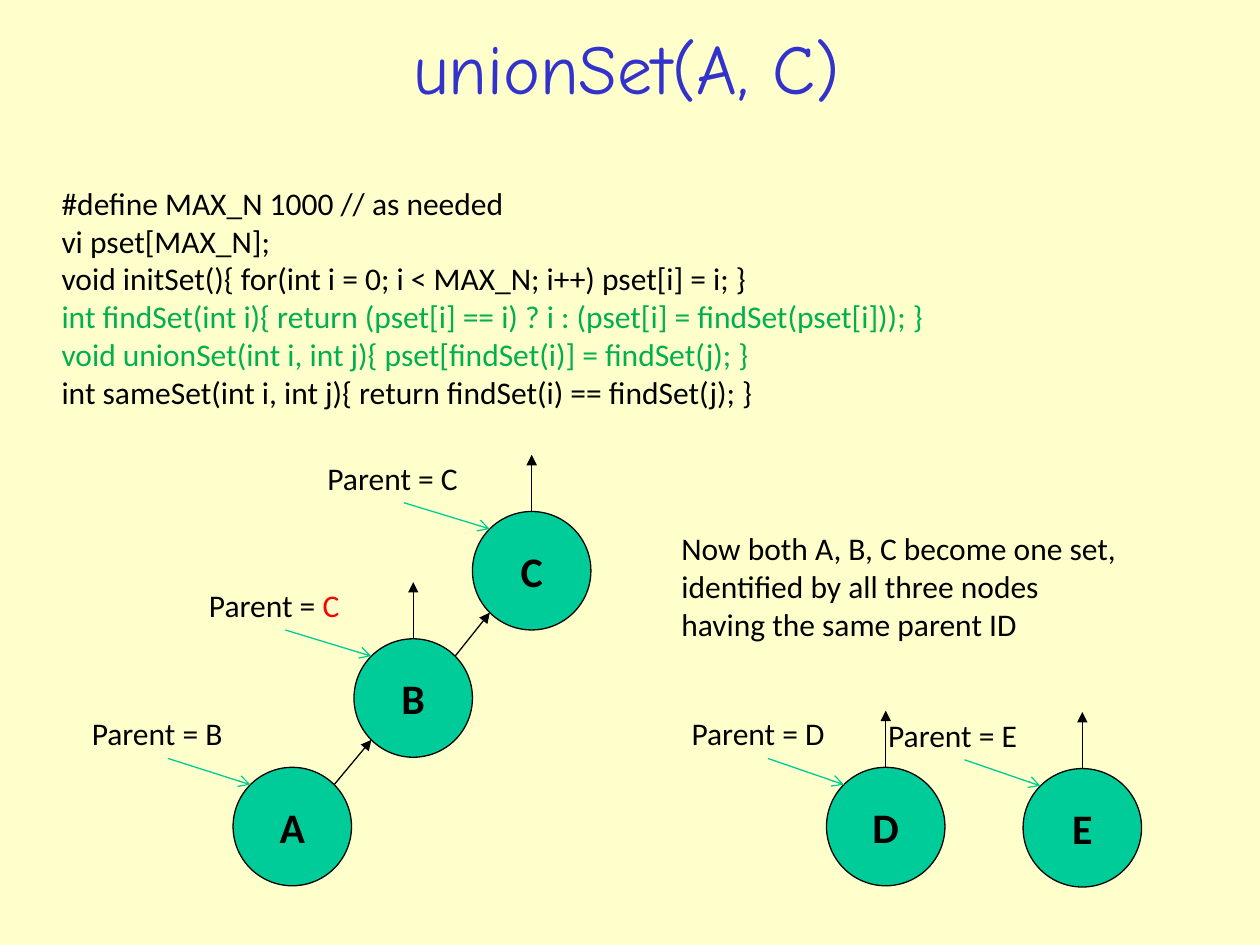
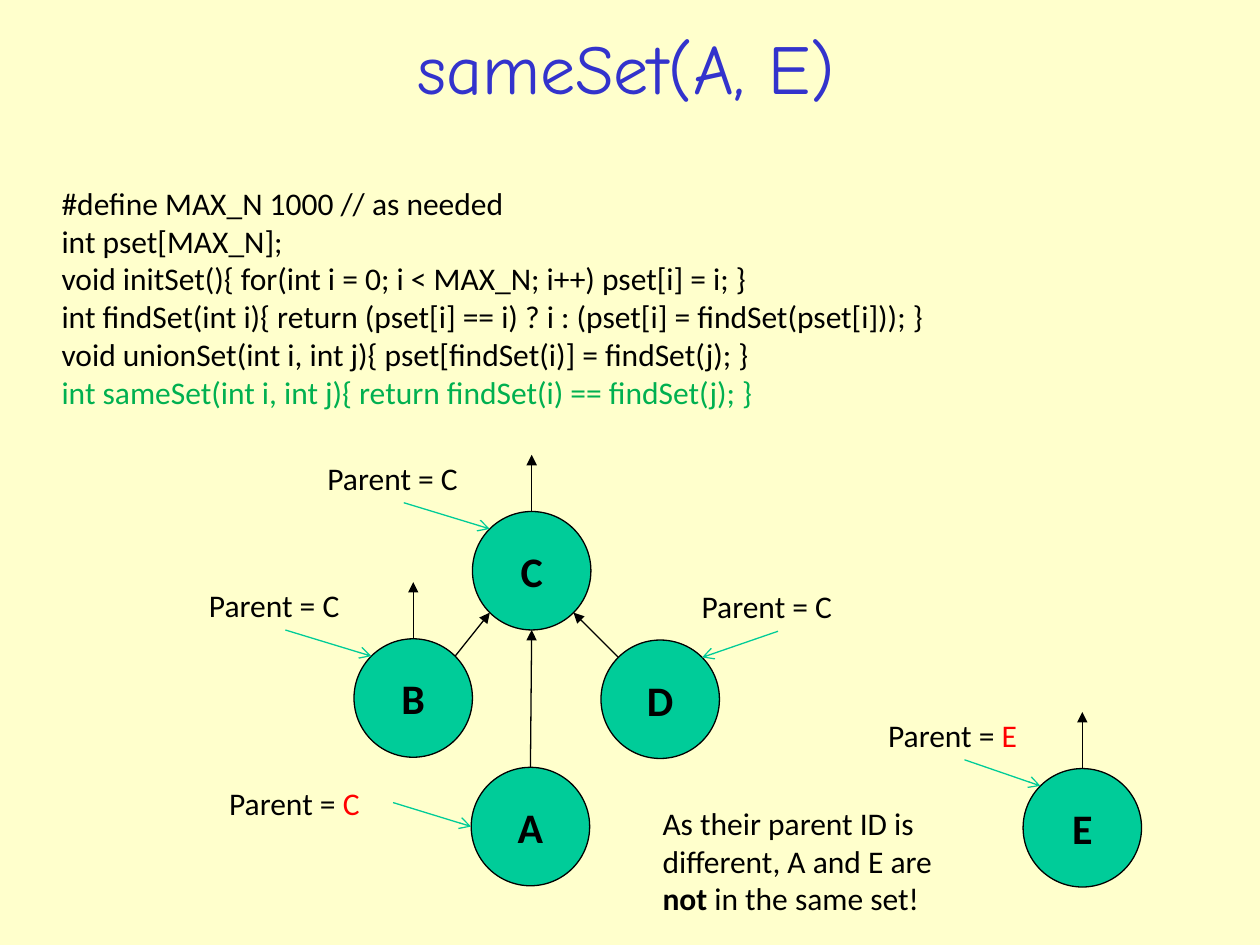
import math

import lxml.etree
import pptx
import pptx.dml.color
import pptx.enum.shapes
import pptx.enum.text
import pptx.oxml.ns
import pptx.util

Inches = pptx.util.Inches
Pt = pptx.util.Pt
RGBColor = pptx.dml.color.RGBColor
qn = pptx.oxml.ns.qn

CREAM = RGBColor(0xFF, 0xFF, 0xCC)
TITLE_BLUE = RGBColor(0x33, 0x33, 0xCC)
NODE_GREEN = RGBColor(0x00, 0xCC, 0x99)
POINTER_GREEN = RGBColor(0x00, 0xCC, 0x98)
CODE_GREEN = RGBColor(0x00, 0xB0, 0x50)
RED = RGBColor(0xFF, 0x00, 0x00)
BLACK = RGBColor(0x00, 0x00, 0x00)

TITLE_FONT = "Comic Neue"
BODY_FONT = "Calibri"
TOP_SITE = 0
NODE_SIZE = 0.94
ROOT_ARROW = 0.45
LABEL_RISE = 0.47
LABEL_WIDTH = 1.41
LABEL_HEIGHT = 0.4

CODE = [
    "#define MAX_N 1000 // as needed",
    "{kind} pset[MAX_N];",
    "void initSet(){ for(int i = 0; i < MAX_N; i++) pset[i] = i; }",
    "int findSet(int i){ return (pset[i] == i) ? i : (pset[i] = findSet(pset[i])); }",
    "void unionSet(int i, int j){ pset[findSet(i)] = findSet(j); }",
    "int sameSet(int i, int j){ return findSet(i) == findSet(j); }",
]


def rim(node, across, down):
    radius = node.width / 2
    reach = radius / math.hypot(across, down)
    return (round(node.left + radius + across * reach),
            round(node.top + radius + down * reach))


class Deck:
    def __init__(self):
        self.prs = pptx.Presentation()
        self.prs.slide_width = Inches(10)
        self.prs.slide_height = Inches(7.5)
        background = self.prs.slide_master.background.fill
        background.solid()
        background.fore_color.rgb = CREAM
        self.slide = None

    def run(self, paragraph, text, size=18, color=BLACK, bold=False, font=BODY_FONT):
        run = paragraph.add_run()
        run.text = text
        run.font.name = font
        run.font.size = Pt(size)
        run.font.bold = bold
        run.font.color.rgb = color

    def new_slide(self, heading):
        self.slide = self.prs.slides.add_slide(self.prs.slide_layouts[5])
        title = self.slide.shapes.title
        title.left, title.top = Inches(0.72), Inches(0.15)
        title.width, title.height = Inches(8.5), Inches(0.76)
        frame = title.text_frame
        frame.auto_size = pptx.enum.text.MSO_AUTO_SIZE.NONE
        frame.vertical_anchor = pptx.enum.text.MSO_ANCHOR.MIDDLE
        paragraph = frame.paragraphs[0]
        paragraph.alignment = pptx.enum.text.PP_ALIGN.CENTER
        self.run(paragraph, heading, 40, TITLE_BLUE, font=TITLE_FONT)

    def text(self, left, top, width, height):
        box = self.slide.shapes.add_textbox(
            Inches(left), Inches(top), Inches(width), Inches(height))
        frame = box.text_frame
        frame.word_wrap = True
        frame.auto_size = pptx.enum.text.MSO_AUTO_SIZE.SHAPE_TO_FIT_TEXT
        return frame

    def code(self, kind, highlighted):
        frame = self.text(0.39, 1.41, 7.58, 1.9)
        for number, line in enumerate(CODE):
            paragraph = frame.add_paragraph() if number else frame.paragraphs[0]
            color = CODE_GREEN if number in highlighted else BLACK
            self.run(paragraph, line.replace("{kind}", kind), color=color)

    def node(self, name, left, top):
        node = self.slide.shapes.add_shape(
            pptx.enum.shapes.MSO_SHAPE.OVAL, Inches(left), Inches(top),
            Inches(NODE_SIZE), Inches(NODE_SIZE))
        node.shadow.inherit = False
        node.fill.solid()
        node.fill.fore_color.rgb = NODE_GREEN
        node.line.color.rgb = BLACK
        node.line.width = Pt(0.75)
        frame = node.text_frame
        frame.word_wrap = False
        frame.vertical_anchor = pptx.enum.text.MSO_ANCHOR.MIDDLE
        paragraph = frame.paragraphs[0]
        paragraph.alignment = pptx.enum.text.PP_ALIGN.CENTER
        self.run(paragraph, name, 24, bold=True)
        return node

    def arrow(self, start, end, color=BLACK, head="triangle"):
        arrow = self.slide.shapes.add_connector(
            pptx.enum.shapes.MSO_CONNECTOR.STRAIGHT, *start, *end)
        arrow.line.color.rgb = color
        arrow.line.width = Pt(0.75)
        lxml.etree.SubElement(arrow.line._get_or_add_ln(), qn("a:tailEnd"), type=head)
        lxml.etree.SubElement(arrow._element.spPr, qn("a:effectLst"))
        return arrow

    def root_arrow(self, node):
        x, y = rim(node, 0, -1)
        arrow = self.arrow((x, y), (x, y - Inches(ROOT_ARROW)))
        arrow.begin_connect(node, TOP_SITE)

    def parent_label(self, left, top, parent, changed=False):
        paragraph = self.text(left, top, LABEL_WIDTH, LABEL_HEIGHT).paragraphs[0]
        self.run(paragraph, "Parent = ")
        self.run(paragraph, parent, color=RED if changed else BLACK)

    def pointer(self, start, end):
        self.arrow(start, end, POINTER_GREEN, "arrow")

    def labelled_node(self, name, left, top, label_left, parent,
                      changed=False, root=False, side=-1):
        node = self.node(name, left, top)
        label_top = top - LABEL_RISE
        self.parent_label(label_left, label_top, parent, changed)
        start = (Inches(label_left + LABEL_WIDTH / 2), Inches(label_top + LABEL_HEIGHT))
        self.pointer(start, rim(node, side, -1))
        if root:
            self.root_arrow(node)
        return node


def union_slide(deck):
    deck.new_slide("unionSet(A, C)")
    deck.code("vi", {3, 4})
    a = deck.labelled_node("A", 1.85, 6.09, 0.63, "B")
    b = deck.labelled_node("B", 2.81, 5.07, 1.56, "C", changed=True, root=True)
    c = deck.labelled_node("C", 3.75, 4.06, 2.5, "C", root=True)
    deck.labelled_node("D", 6.56, 6.09, 5.39, "D", root=True)
    deck.labelled_node("E", 8.12, 6.1, 6.95, "E", root=True)
    for child, parent in ((a, b), (b, c)):
        deck.arrow(rim(child, 1, -1), rim(parent, -1, 1))
    remark = deck.text(5.31, 4.15, 4.14, 1).paragraphs[0]
    deck.run(remark, "Now both A, B, C become one set, identified by all three nodes")
    remark.add_line_break()
    deck.run(remark, "having the same parent ID")


def same_slide(deck):
    deck.new_slide("sameSet(A, E)")
    deck.code("int", {5})
    a = deck.node("A", 3.74, 6.09)
    b = deck.labelled_node("B", 2.81, 5.07, 1.56, "C", root=True)
    c = deck.labelled_node("C", 3.75, 4.06, 2.5, "C", root=True)
    d = deck.labelled_node("D", 4.77, 5.08, 5.47, "C", side=1)
    deck.labelled_node("E", 8.12, 6.1, 6.95, "E", changed=True, root=True)
    deck.parent_label(1.72, 6.17, "C", changed=True)
    deck.pointer((Inches(3.12), Inches(6.37)), rim(a, -1, 0))
    for child, side in ((b, -1), (d, 1)):
        deck.arrow(rim(child, -side, -1), rim(c, side, 1))
    deck.arrow(rim(a, 0, -1), rim(c, 0, 1)).begin_connect(a, TOP_SITE)
    remark = deck.text(5.16, 6.33, 2.58, 1).paragraphs[0]
    deck.run(remark, "As their parent ID is different, A and E are ")
    deck.run(remark, "not", bold=True)
    deck.run(remark, " in the same set!")


def main():
    deck = Deck()
    union_slide(deck)
    same_slide(deck)
    deck.prs.save("out.pptx")


if __name__ == "__main__":
    main()
